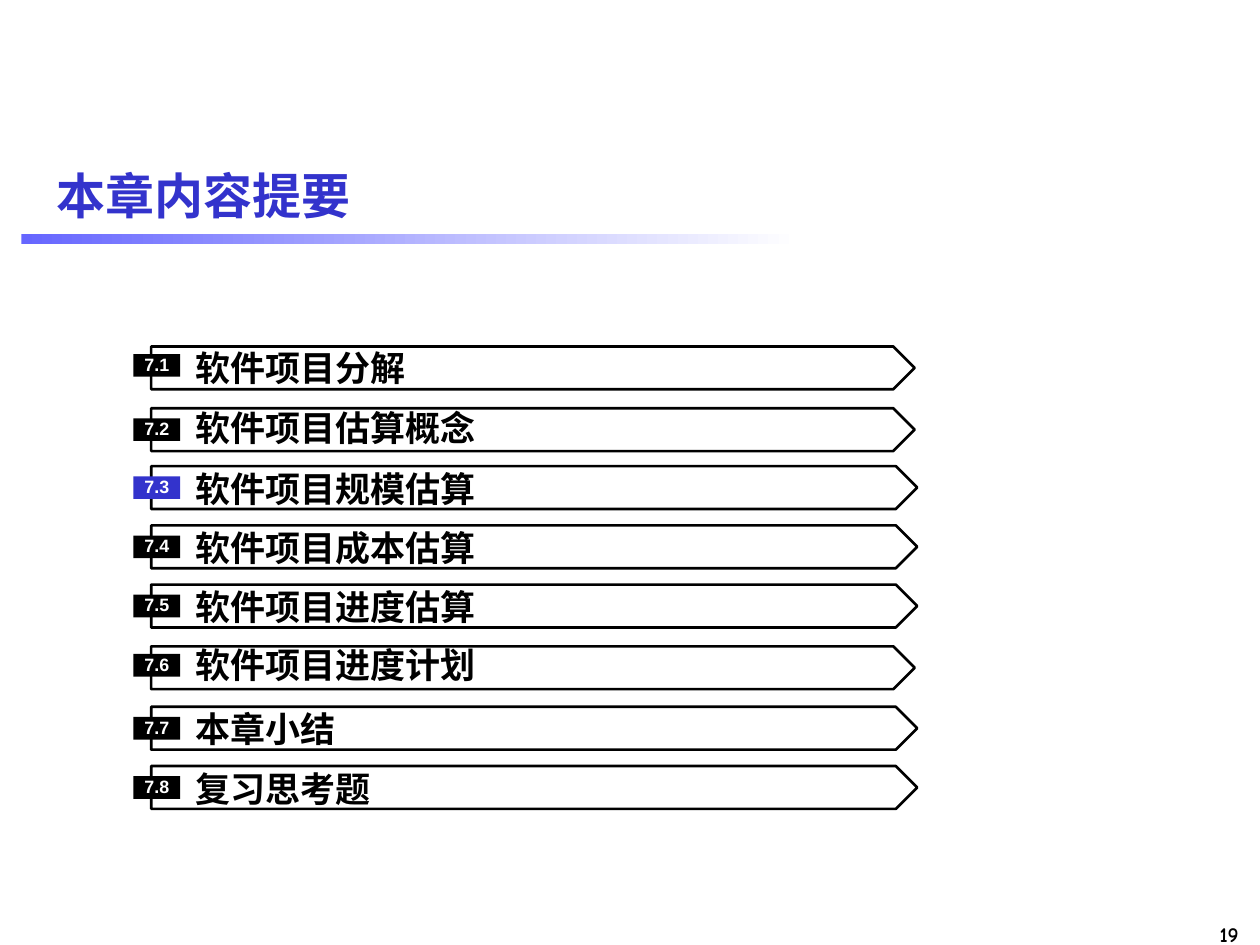
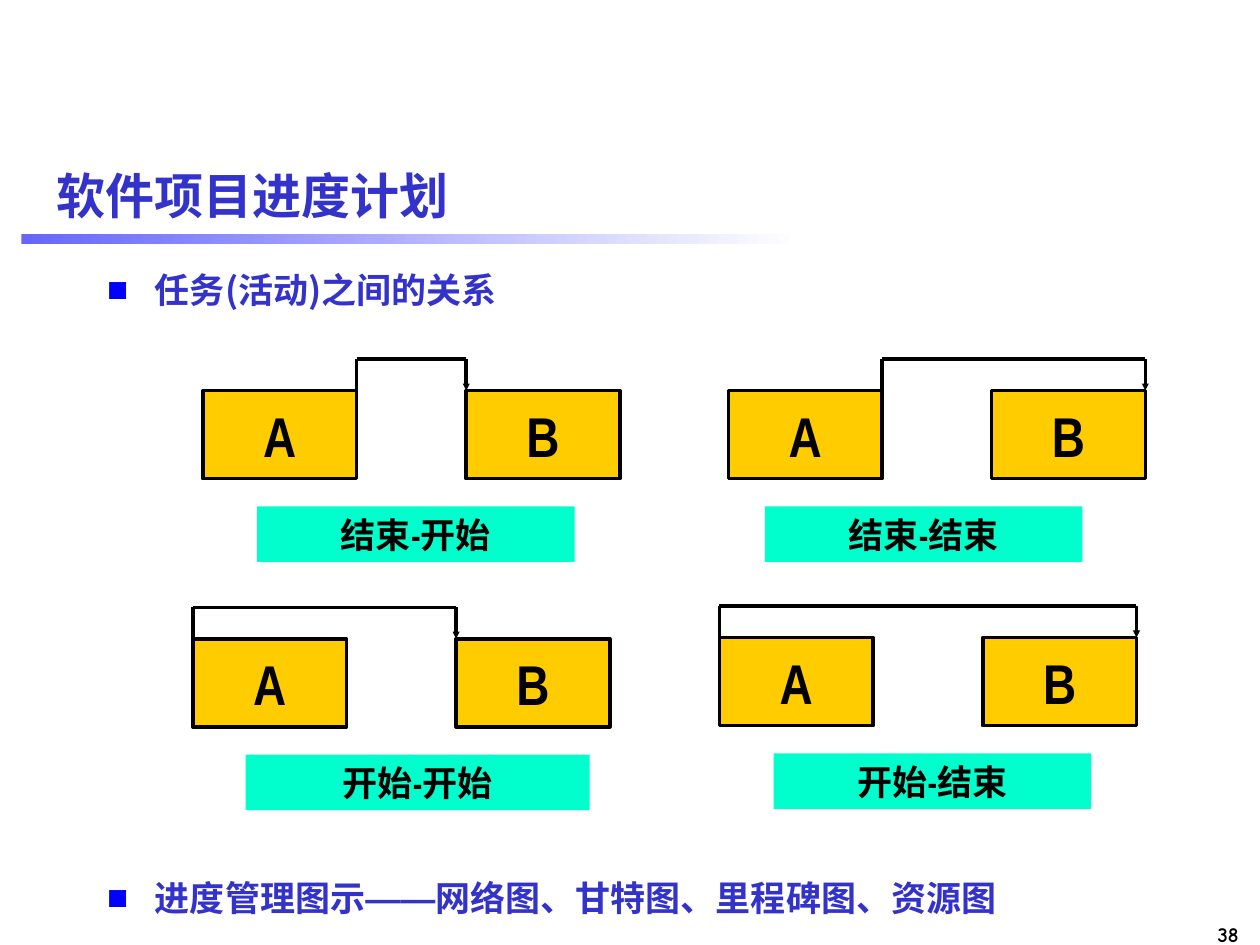
from lxml.etree import SubElement
from pptx import Presentation
from pptx.dml.color import RGBColor
from pptx.enum.shapes import MSO_CONNECTOR, MSO_SHAPE
from pptx.enum.text import MSO_ANCHOR, MSO_AUTO_SIZE, PP_ALIGN
from pptx.oxml.ns import qn
from pptx.util import Pt

PX = 9144  # one px is a hundredth of an inch


class Theme:
    blue = RGBColor(0x33, 0x33, 0xCC)
    band = RGBColor(0x66, 0x66, 0xFF)
    mint = RGBColor(0x00, 0xFF, 0xCC)
    gold = RGBColor(0xFF, 0xCC, 0x00)
    black = RGBColor(0, 0, 0)
    white = RGBColor(255, 255, 255)
    bullet = "0000FF"
    sans, serif, narrow = "Arial", "Times New Roman", "Arial Narrow"
    hand, east = "Comic Neue", "Noto Sans CJK SC"
    title, task, body, page, tag = 28, 32, 20, 12, 10.2
    frame, edge = 1.5, 2


def block(slide, x, y, w, h, fill=None):
    """Add a filled rectangle, or a text box when there is no fill."""
    place = [n * PX for n in (x, y, w, h)]
    if fill is None:
        return slide.shapes.add_textbox(*place)
    shape = slide.shapes.add_shape(MSO_SHAPE.RECTANGLE, *place)
    shape.shadow.inherit = False
    shape.fill.solid()
    shape.fill.fore_color.rgb = fill
    shape.line.fill.background()
    return shape


def write(shape, text, size, face, color, align=PP_ALIGN.LEFT, pad=0):
    """Fill a shape with one bold, vertically centred paragraph."""
    frame = shape.text_frame
    frame.text = text
    frame.word_wrap = True
    frame.auto_size = MSO_AUTO_SIZE.NONE
    frame.vertical_anchor = MSO_ANCHOR.MIDDLE
    frame.margin_left = frame.margin_right = pad * PX
    frame.margin_top = frame.margin_bottom = 0
    para = frame.paragraphs[0]
    para.alignment = align
    font = para.runs[0].font
    font.size, font.name, font.bold = Pt(size), face, True
    font.color.rgb = color
    SubElement(para.runs[0]._r.rPr, qn("a:ea"), typeface=Theme.east)
    return para


deck = Presentation()
deck.slide_width, deck.slide_height = 1000 * PX, 750 * PX

# Shared title, gradient band and page number
pages = []
for title, number in (("本章内容提要", "19"), ("软件项目进度计划", "38")):
    slide = deck.slides.add_slide(deck.slide_layouts[5])
    pages.append(slide)
    band = block(slide, 17, 186, 617, 8, Theme.band)
    band.fill.gradient()
    band.fill.gradient_angle = 0
    for stop, color in zip(band.fill.gradient_stops, (Theme.band, Theme.white)):
        stop.color.rgb = color
    head = slide.shapes.title
    head.left, head.top = 35 * PX, 115 * PX
    head.width, head.height = 945 * PX, 79 * PX
    write(head, title, Theme.title, Theme.sans, Theme.blue, pad=10)
    foot = block(slide, 901, 730, 92, 22)
    write(foot, number, Theme.page, Theme.hand, Theme.black, PP_ALIGN.RIGHT, 10)

outline, plan = pages

# Chapter outline: name, then bar top, text top, tag top and bar tip
rows = (
    ("软件项目分解", 275, 275, 281, 726),
    ("软件项目估算概念", 324, 323, 332, 726),
    ("软件项目规模估算", 370, 371, 378, 728),
    ("软件项目成本估算", 417, 418, 425, 728),
    ("软件项目进度估算", 464, 465, 472, 728),
    ("软件项目进度计划", 513, 511, 519, 726),
    ("本章小结", 561, 562, 569, 728),
    ("复习思考题", 608, 609, 616, 728),
)
current = 3
for index, (name, top, line, mark, tip) in enumerate(rows, 1):
    pen = outline.shapes.build_freeform(120, top, scale=PX)
    pen.add_line_segments(
        [(tip - 17, top), (tip, top + 17), (tip - 17, top + 34), (120, top + 34)],
        close=True)
    bar = pen.convert_to_shape()
    bar.shadow.inherit = False
    bar.fill.background()
    bar.line.color.rgb = Theme.black
    bar.line.width = Pt(Theme.frame)
    label = block(outline, 155, line, 531, 33)
    write(label, name, Theme.body, Theme.serif, Theme.black)
    fill = Theme.blue if index == current else Theme.black
    tag = block(outline, 106, mark, 37, 18, fill)
    para = write(tag, f"7.{index}", Theme.tag, Theme.sans, Theme.white, PP_ALIGN.CENTER)
    para.line_spacing = 0.9

# Bulleted statements
points = (
    (210, ("任务(活动)之间的关系",)),
    (692, ("进度管理图示", "——", "网络图、甘特图、里程碑图、资源图")),
)
for top, parts in points:
    box = block(plan, 85, top, 886, 40)
    para = write(box, parts[0], Theme.body, Theme.east, Theme.blue)
    props = para._p.get_or_add_pPr()
    props.set("marL", str(38 * PX))
    props.set("indent", str(-38 * PX))
    tint = SubElement(props, qn("a:buClr"))
    SubElement(tint, qn("a:srgbClr"), val=Theme.bullet)
    SubElement(props, qn("a:buFont"), typeface=Theme.sans)
    SubElement(props, qn("a:buChar"), char="■")
    for part in parts[1:]:
        run = para.add_run()
        run.text = part
        face = Theme.sans if part == "——" else Theme.east
        run.font.size, run.font.name, run.font.bold = Pt(Theme.body), face, True
        run.font.color.rgb = Theme.blue
        SubElement(run._r.rPr, qn("a:ea"), typeface=face)

# Task links: left, top, start and end corner, label left and width
wide, tall, step, rise = 122, 70, 209, 25
links = (
    ("结束-开始", 161, 310, wide, 0, 204, 252),
    ("结束-结束", 578, 310, wide, wide, 607, 252),
    ("开始-开始", 153, 507, 0, 0, 195, 273),
    ("开始-结束", 571, 506, 0, wide, 614, 252),
)
for name, left, top, start, end, side, span in links:
    for index, task in enumerate("AB"):
        box = block(plan, left + index * step, top, wide, tall, Theme.gold)
        box.line.color.rgb = Theme.black
        box.line.width = Pt(Theme.edge)
        write(box, task, Theme.task, Theme.narrow, Theme.black, PP_ALIGN.CENTER)
    label = block(plan, side, top + 92, span, 44, Theme.mint)
    write(label, name, Theme.body, Theme.narrow, Theme.black, PP_ALIGN.CENTER)

    # Up from the first task, across, and down to the second
    first, last, high = left + start, left + step + end, top - rise
    route = ((first, top), (first, high), (last, high), (last, top))
    for (x1, y1), (x2, y2) in zip(route, route[1:]):
        wire = plan.shapes.add_connector(
            MSO_CONNECTOR.STRAIGHT, x1 * PX, y1 * PX, x2 * PX, y2 * PX)
        wire.line.color.rgb = Theme.black
        wire.line.width = Pt(Theme.edge)
        SubElement(wire._element.spPr, qn("a:effectLst"))
    SubElement(wire.line._get_or_add_ln(), qn("a:tailEnd"),
               type="triangle", w="sm", len="sm")

deck.save("out.pptx")
